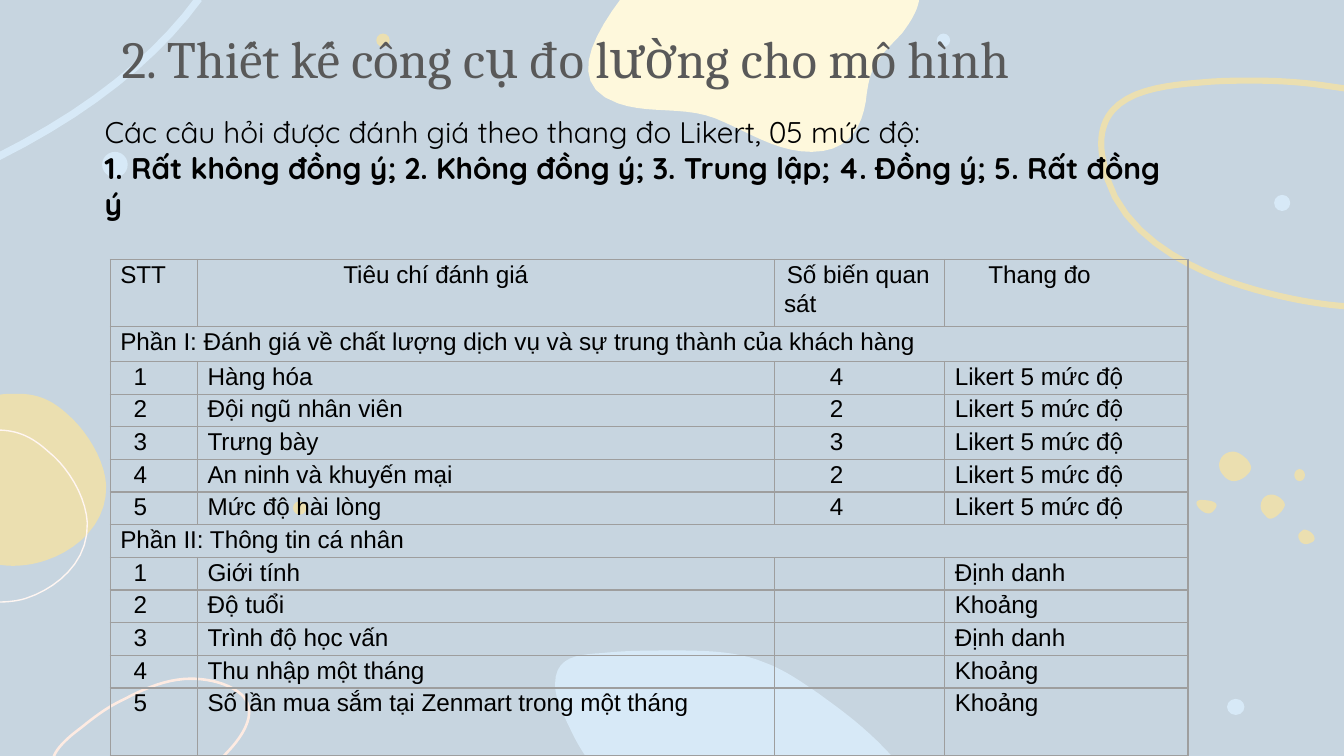
import dataclasses

import lxml.etree
import pptx
import pptx.dml.color
import pptx.enum.shapes
import pptx.enum.text
import pptx.oxml.ns
import pptx.util

Inches = pptx.util.Inches
Pt = pptx.util.Pt
qn = pptx.oxml.ns.qn


@dataclasses.dataclass(frozen=True)
class Theme:
    background: str = "C7D5E0"
    blue: str = "D7E9F7"
    sand: str = "EBDFB0"
    cream: str = "FEF8DC"
    white: str = "FFF6F2"
    pink: str = "FEEBE2"
    title: str = "595959"
    text: str = "000000"
    border: str = "9E9E9E"
    title_font: str = "Cambria"
    intro_font: str = "Quicksand"
    table_font: str = "Arial"
    title_size: int = 28
    intro_size: int = 16
    table_size: int = 13


@dataclasses.dataclass(frozen=True)
class Box:
    left: float
    top: float
    width: float
    height: float

    def lengths(self):
        return [Inches(value) for value in dataclasses.astuple(self)]


THEME = Theme()

# Round dots: left, top, width, height, colour
DOTS = [
    (0.76, 1.13, 0.19, 0.19, THEME.blue),
    (2.8, 0.25, 0.1, 0.1, THEME.sand),
    (6.97, 0.25, 0.1, 0.1, THEME.blue),
    (9.13, 5.2, 0.13, 0.12, THEME.blue),
    (9.48, 1.45, 0.12, 0.12, THEME.blue),
    (2.18, 3.73, 0.1, 0.1, THEME.sand),
    (9.63, 3.49, 0.08, 0.09, THEME.sand),
]

# Filled blobs: colour, then a start point and three points for each Bezier curve
BLOBS = [
    (THEME.sand, [(-0.02, 2.94), (0.03, 2.93), (0.08, 2.93), (0.13, 2.93),
                  (0.27, 2.93), (0.38, 2.97), (0.5, 3.08), (0.64, 3.2), (0.78, 3.42), (0.79, 3.61),
                  (0.8, 3.89), (0.58, 4.09), (0.34, 4.17), (0.22, 4.21), (0.1, 4.22), (-0.02, 4.2)]),
    (THEME.sand, [(9.17, 3.36), (9.21, 3.36), (9.25, 3.39), (9.28, 3.42),
                  (9.3, 3.45), (9.32, 3.47), (9.3, 3.51), (9.28, 3.54), (9.23, 3.58), (9.18, 3.58),
                  (9.14, 3.58), (9.11, 3.55), (9.09, 3.52), (9.05, 3.47), (9.07, 3.37), (9.17, 3.36)]),
    (THEME.sand, [(9.46, 3.68), (9.5, 3.68), (9.56, 3.72), (9.56, 3.76),
                  (9.55, 3.8), (9.49, 3.86), (9.45, 3.86), (9.43, 3.86), (9.42, 3.84), (9.4, 3.82),
                  (9.36, 3.78), (9.38, 3.68), (9.46, 3.68)]),
    (THEME.sand, [(8.93, 3.72), (8.88, 3.73), (8.91, 3.77), (8.93, 3.79),
                  (8.95, 3.81), (9, 3.84), (9.03, 3.8), (9.1, 3.73), (8.99, 3.72), (8.93, 3.72)]),
    (THEME.sand, [(9.7, 3.94), (9.66, 3.97), (9.65, 3.98), (9.67, 4.02),
                  (9.68, 4.04), (9.71, 4.06), (9.75, 4.04), (9.82, 4.02), (9.76, 3.94), (9.7, 3.94)]),
    (THEME.cream, [(4.62, -0.01), (4.39, 0.3), (4.22, 0.64), (4.6, 0.77),
                   (4.83, 0.85), (5.09, 0.79), (5.32, 0.88), (5.57, 0.98), (5.77, 1.13), (6.04, 1.13),
                   (6.34, 1.13), (6.43, 0.91), (6.45, 0.69), (6.48, 0.46), (6.56, 0.41), (6.71, 0.25),
                   (6.77, 0.17), (6.83, 0.08), (6.84, -0.01)]),
    (THEME.blue, [(4.36, 5.63), (4.29, 5.53), (4.24, 5.42), (4.19, 5.31),
                  (4.16, 5.24), (4.13, 5.17), (4.13, 5.09), (4.13, 4.88), (4.31, 4.87), (4.47, 4.86),
                  (4.65, 4.84), (4.83, 4.84), (5.02, 4.84), (5.29, 4.84), (5.5, 4.85), (5.69, 4.93),
                  (5.83, 4.98), (5.96, 5.07), (6.09, 5.16), (6.27, 5.29), (6.45, 5.42), (6.64, 5.63)]),
]

# Open strokes: colour, width in points, curve points as above
STROKES = [
    (THEME.blue, 4, [(1.48, -0.01), (1.16, 0.43), (0.66, 0.83), (-0.02, 1.17)]),
    (THEME.sand, 3.3, [(10.02, 0.66), (9.95, 0.65), (9.88, 0.64), (9.81, 0.63),
                       (9.66, 0.61), (9.5, 0.6), (9.33, 0.6), (9.22, 0.6), (9.1, 0.6), (8.98, 0.61),
                       (8.74, 0.63), (8.43, 0.65), (8.28, 0.82), (8.21, 0.9), (8.18, 1.01), (8.2, 1.15),
                       (8.26, 1.74), (8.88, 2), (9.16, 2.1), (9.46, 2.2), (9.75, 2.26), (10.02, 2.28)]),
    (THEME.white, 0.75, [(-0.02, 4.48), (0.07, 4.48), (0.14, 4.47), (0.2, 4.45),
                         (0.41, 4.38), (0.66, 4.19), (0.65, 3.89), (0.64, 3.69), (0.5, 3.47),
                         (0.36, 3.36), (0.24, 3.25), (0.13, 3.2), (-0.02, 3.2)]),
    (THEME.pink, 1.4, [(0.4, 5.63), (0.43, 5.55), (0.53, 5.47), (0.61, 5.41),
                       (0.72, 5.32), (0.82, 5.25), (0.93, 5.2), (1.08, 5.12), (1.25, 5.05), (1.42, 5.05),
                       (1.54, 5.05), (1.7, 5.08), (1.8, 5.17), (1.85, 5.22), (1.86, 5.28), (1.85, 5.34),
                       (1.83, 5.44), (1.75, 5.54), (1.66, 5.63)]),
]

# Rows: number, criterion, count of variables, scale; a section row has one entry
HEADER = ["STT", "Tiêu chí đánh giá", "Số biến quan sát", "Thang đo"]
LIKERT = "Likert 5 mức độ"
ROWS = [
    HEADER,
    ["Phần I: Đánh giá về chất lượng dịch vụ và sự trung thành của khách hàng"],
    ["1", "Hàng hóa", "4", LIKERT],
    ["2", "Đội ngũ nhân viên", "2", LIKERT],
    ["3", "Trưng bày", "3", LIKERT],
    ["4", "An ninh và khuyến mại", "2", LIKERT],
    ["5", "Mức độ hài lòng", "4", LIKERT],
    ["Phần II: Thông tin cá nhân"],
    ["1", "Giới tính", "", "Định danh"],
    ["2", "Độ tuổi", "", "Khoảng"],
    ["3", "Trình độ học vấn", "", "Định danh"],
    ["4", "Thu nhập một tháng", "", "Khoảng"],
    ["5", "Số lần mua sắm tại Zenmart trong một tháng", "", "Khoảng"],
]
COLUMN_WIDTHS = [0.65, 4.29, 1.27, 1.81]
HEADER_INDENTS = [0, 1.01, 0.02, 0.25]
BODY_INDENTS = [0.1, 0, 0.34, 0]


def rgb(colour):
    return pptx.dml.color.RGBColor.from_string(colour)


def write_text(paragraph, text, *, font, size, colour=THEME.text, bold=False,
               align=pptx.enum.text.PP_ALIGN.LEFT, spacing=1.0, indent=0):
    paragraph.alignment = align
    paragraph.line_spacing = spacing
    paragraph._p.get_or_add_pPr().set("indent", str(Inches(indent)))
    if not text:  # keep an empty cell at the table's type size
        lxml.etree.SubElement(paragraph._p, qn("a:endParaRPr"), sz=str(size * 100))
        return
    run = paragraph.add_run()
    run.text = text
    run.font.name, run.font.size, run.font.bold = font, Pt(size), bold
    run.font.color.rgb = rgb(colour)


def fill_shape(shape, colour):
    shape.shadow.inherit = False
    shape.fill.solid()
    shape.fill.fore_color.rgb = rgb(colour)
    shape.line.fill.background()


def sample_curves(points, steps=10):
    """Return points along a chain of cubic Bezier curves."""
    sampled = [points[0]]
    for first in range(0, len(points) - 1, 3):
        a, b, c, d = points[first:first + 4]
        for step in range(1, steps + 1):
            t = step / steps
            weights = ((1 - t) ** 3, 3 * t * (1 - t) ** 2, 3 * t * t * (1 - t), t ** 3)
            sampled.append(tuple(sum(w * p[axis] for w, p in zip(weights, (a, b, c, d)))
                                 for axis in (0, 1)))
    return sampled


def add_curve(slide, box, points, closed):
    vertices = [(Inches(box.left + x), Inches(box.top + y)) for x, y in sample_curves(points)]
    builder = slide.shapes.build_freeform(*vertices[0])
    builder.add_line_segments(vertices[1:], close=closed)
    return builder.convert_to_shape()


def add_decoration(slide, box):
    for left, top, width, height, colour in DOTS:
        dot_box = Box(box.left + left, box.top + top, width, height)
        fill_shape(slide.shapes.add_shape(pptx.enum.shapes.MSO_SHAPE.OVAL, *dot_box.lengths()), colour)
    for colour, points in BLOBS:
        fill_shape(add_curve(slide, box, points, closed=True), colour)
    for colour, width, points in STROKES:
        stroke = add_curve(slide, box, points, closed=False)
        stroke.shadow.inherit = False
        stroke.fill.background()
        stroke.line.color.rgb = rgb(colour)
        stroke.line.width = Pt(width)


def place_title(slide, box):
    title = slide.shapes.title
    title.left, title.top, title.width, title.height = box.lengths()
    slide.shapes.element.append(title.element)  # bring in front of the decoration
    frame = title.text_frame
    frame.word_wrap = True
    frame.auto_size = pptx.enum.text.MSO_AUTO_SIZE.NONE
    frame.vertical_anchor = pptx.enum.text.MSO_ANCHOR.MIDDLE
    frame.margin_left = frame.margin_right = frame.margin_top = frame.margin_bottom = Inches(0.1)
    write_text(frame.paragraphs[0], "2. Thiết kế công cụ đo lường cho mô hình", font=THEME.title_font,
               size=THEME.title_size, colour=THEME.title, spacing=0.8,
               align=pptx.enum.text.PP_ALIGN.CENTER)


def add_intro(slide, box):
    frame = slide.shapes.add_textbox(*box.lengths()).text_frame
    frame.word_wrap = True
    style = {"font": THEME.intro_font, "size": THEME.intro_size}
    write_text(frame.paragraphs[0], "Các câu hỏi được đánh giá theo thang đo Likert, 05 mức độ:", **style)
    write_text(frame.add_paragraph(), "1. Rất không đồng ý; 2. Không đồng ý; 3. Trung lập; "
               "4. Đồng ý; 5. Rất đồng ý", bold=True, **style)


def format_cell(cell):
    cell.margin_left = cell.margin_right = Pt(5.4)
    cell.margin_top = cell.margin_bottom = 0
    cell.fill.background()
    properties = cell._tc.get_or_add_tcPr()
    for position, side in enumerate(("a:lnL", "a:lnR", "a:lnT", "a:lnB")):
        line = lxml.etree.Element(qn(side), w=str(Pt(0.75)))
        fill = lxml.etree.SubElement(line, qn("a:solidFill"))
        lxml.etree.SubElement(fill, qn("a:srgbClr"), val=THEME.border)
        properties.insert(position, line)


def add_criteria_table(slide, box):
    table = slide.shapes.add_table(len(ROWS), len(HEADER), *box.lengths()).table
    table.first_row = table.horz_banding = False
    for column, width in zip(table.columns, COLUMN_WIDTHS):
        column.width = Inches(width)

    # Fixed heights for three rows; the others share what is left
    heights = {0: 0.5, 1: 0.26, len(ROWS) - 1: 0.5}
    shared = (box.height - sum(heights.values())) / (len(ROWS) - len(heights))
    for index, entries in enumerate(ROWS):
        table.rows[index].height = Inches(heights.get(index, shared))
        section = len(entries) == 1
        if section:
            table.cell(index, 0).merge(table.cell(index, len(HEADER) - 1))
        indents = HEADER_INDENTS if section or index == 0 else BODY_INDENTS
        for column, indent in enumerate(indents):
            cell = table.cell(index, column)
            format_cell(cell)
            write_text(cell.text_frame.paragraphs[0], entries[column] if column < len(entries) else "",
                       font=THEME.table_font, size=THEME.table_size, spacing=1.07, indent=indent)


def main():
    presentation = pptx.Presentation()
    page = Box(0, 0, 10, 10 * 9 / 16)
    presentation.slide_width, presentation.slide_height = Inches(page.width), Inches(page.height)
    slide = presentation.slides.add_slide(presentation.slide_layouts[5])
    slide.background.fill.solid()
    slide.background.fill.fore_color.rgb = rgb(THEME.background)
    add_decoration(slide, page)
    place_title(slide, Box(0.41, 0.12, 7.59, 0.7))
    add_intro(slide, Box(0.68, 0.8, 8.11, 0.88))
    add_criteria_table(slide, Box(0.82, 1.93, 8.02, 3.69))
    presentation.save("out.pptx")


if __name__ == "__main__":
    main()
